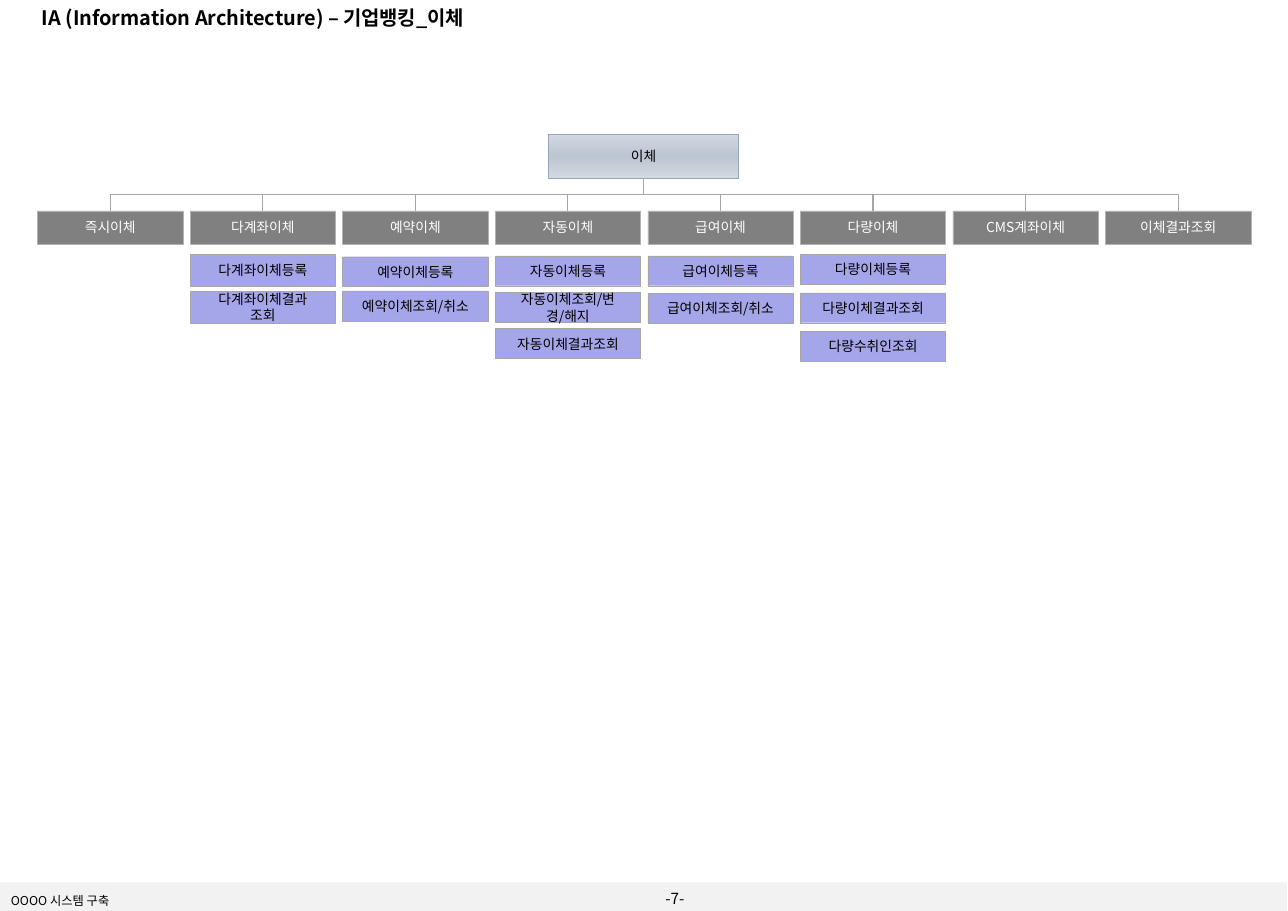
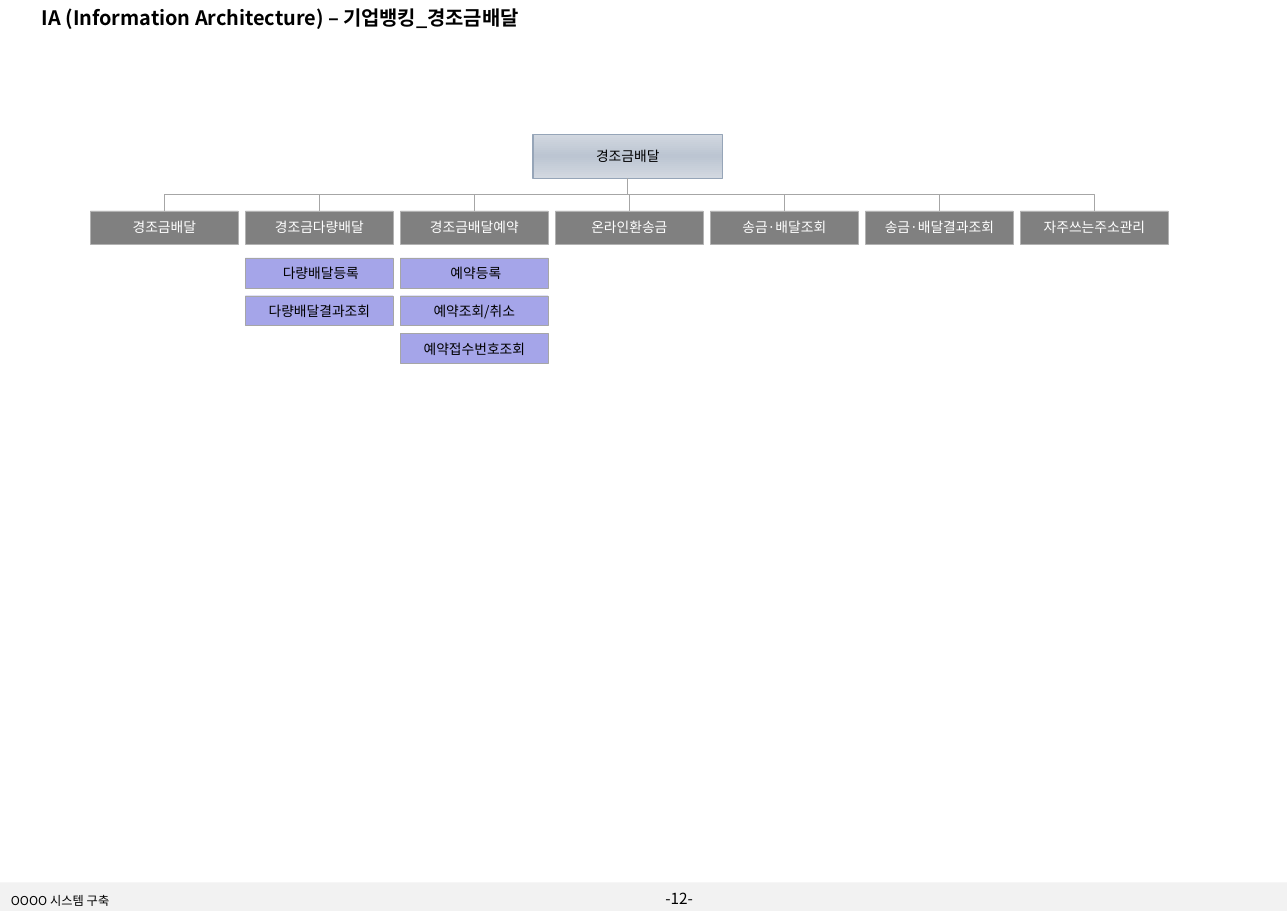
from copy import deepcopy

from lxml.etree import SubElement
from pptx import Presentation
from pptx.dml.color import RGBColor
from pptx.enum.shapes import MSO_CONNECTOR, MSO_SHAPE
from pptx.enum.text import MSO_ANCHOR, MSO_AUTO_SIZE, PP_ALIGN
from pptx.oxml.ns import qn
from pptx.util import Pt

FONT = "Noto Sans CJK KR"
WIDTH, HEIGHT = 841.68, 595.44
TITLE_ONLY = 5
ROOT_TOP, ROOT_WIDTH, ROOT_HEIGHT = 87.8, 123.8, 28.8
HEADING_TOP, HEADING_HEIGHT = 137.9, 21.6

MENUS = [
    {
        "title": "IA (Information Architecture) – 기업뱅킹_이체",
        "number": 7, "root": "이체", "root_left": 358.6,
        "left": 24.5, "pitch": 99.7, "width": 95,
        "columns": [
            ("즉시이체", []),
            ("다계좌이체", ["다계좌이체등록", "다계좌이체결과\n조회"], 166.3, 23.9, 20.9),
            ("예약이체", ["예약이체등록", "예약이체조회/취소"], 167.8, 22.3, 19.6),
            ("자동이체", ["자동이체등록", "자동이체조회/변경/해지", "자동이체결과조회"],
             167.2, 23.8, 19.6),
            ("급여이체", ["급여이체등록", "급여이체조회/취소"], 167.2, 24.4, 19.6),
            ("다량이체", ["다량이체등록", "다량이체결과조회", "다량수취인조회"],
             166.3, 25.1, 19.6),
            ("CMS계좌이체", []),
            ("이체결과조회", []),
        ],
    },
    {
        "title": "IA (Information Architecture) – 기업뱅킹_경조금배달",
        "number": 12, "root": "경조금배달", "root_left": 348.3,
        "left": 59.1, "pitch": 101.3, "width": 96.5,
        "columns": [
            ("경조금배달", []),
            ("경조금다량배달", [" 다량배달등록", "다량배달결과조회"], 168.6, 24.7, 19.6),
            ("경조금배달예약", [" 예약등록", "예약조회/취소", "예약접수번호조회"],
             168.6, 24.7, 19.6),
            ("온라인환송금", []),
            ("송금·배달조회", []),
            ("송금·배달결과조회", []),
            ("자주쓰는주소관리", []),
        ],
    },
]


def color(code):
    """Turn a hex string into a colour."""
    return RGBColor.from_string(code)


def apply(target, values):
    """Set every attribute named in a dict of format values."""
    for name, value in values.items():
        setattr(target, name, value)


class MenuDeck:
    """Hold the shared style and the slide being built."""

    def __init__(self):
        """Start an empty deck."""
        self.deck = Presentation()
        apply(self.deck, {"slide_width": Pt(WIDTH), "slide_height": Pt(HEIGHT)})
        self.page = None

    def fill_text(self, shape, text, size, ink="000000", bold=False,
                  align=PP_ALIGN.LEFT, margins=(7.9, 3.6), wrap=True):
        """Put formatted text in a shape."""
        side, edge = map(Pt, margins)
        frame = shape.text_frame
        apply(frame, {
            "auto_size": MSO_AUTO_SIZE.NONE, "word_wrap": wrap,
            "vertical_anchor": MSO_ANCHOR.MIDDLE,
            "margin_left": side, "margin_right": side,
            "margin_top": edge, "margin_bottom": edge,
        })
        para = frame.paragraphs[0]
        para.text = text
        para.alignment = align
        for span in para.runs:
            apply(span.font, {"size": Pt(size), "bold": bold, "name": FONT})
            span.font.color.rgb = color(ink)
            properties = span._r.get_or_add_rPr()
            SubElement(properties, qn("a:ea")).set("typeface", FONT)
        for line_break in para._p.findall(qn("a:br")):
            line_break.append(deepcopy(properties))

    def title(self, text):
        """Place the slide title."""
        title = self.page.shapes.title
        apply(title, {"left": Pt(19.4), "top": Pt(-0.7),
                      "width": Pt(481.7), "height": Pt(23.8)})
        self.fill_text(title, text, 13, bold=True)

    def label(self, text, left, top, width, height, size, side):
        """Add one unwrapped line of text."""
        box = self.page.shapes.add_textbox(Pt(left), Pt(top), Pt(width), Pt(height))
        self.fill_text(box, text, size, margins=(side, 3.6), wrap=False)

    def box(self, left, top, width, height, fill, line=None, weight=0.25):
        """Add a rectangle, with a gradient when fill is a list of colours."""
        box = self.page.shapes.add_shape(
            MSO_SHAPE.RECTANGLE, Pt(left), Pt(top), Pt(width), Pt(height))
        box.shadow.inherit = False
        if isinstance(fill, list):
            box.fill.gradient()
            box.fill.gradient_angle = 270
            stops = next(box._element.iter(qn("a:gsLst")))
            while len(stops) < len(fill):
                stops.append(deepcopy(stops[-1]))
            for index, stop in enumerate(box.fill.gradient_stops):
                stop.position = index / (len(fill) - 1)
                stop.color.rgb = color(fill[index])
        else:
            box.fill.solid()
            box.fill.fore_color.rgb = color(fill)
        if line:
            box.line.color.rgb = color(line)
            box.line.width = Pt(weight)
        else:
            box.line.fill.background()
        return box

    def root(self, text, left):
        """Add the top box of the tree."""
        box = self.box(left, ROOT_TOP, ROOT_WIDTH, ROOT_HEIGHT,
                       ["D2D8E0", "BCC5D2", "D2D8E0"], "96A5B8", 0.75)
        self.fill_text(box, text, 9, align=PP_ALIGN.CENTER, margins=(2.9, 2.9))
        return box

    def heading(self, text, left, width):
        """Add a grey column heading."""
        box = self.box(left, HEADING_TOP, width, HEADING_HEIGHT, "808080", "B2B2B2")
        self.fill_text(box, text, 9, "FFFFFF", align=PP_ALIGN.CENTER,
                       margins=(0, 0), wrap=False)
        return box

    def item(self, text, left, top, width, height):
        """Add a violet menu item."""
        box = self.box(left, top, width, height, "A5A5E9", "A6A6A6")
        self.fill_text(box, text, 9, align=PP_ALIGN.CENTER)

    def branch(self, parent, child):
        """Join a parent's bottom to a child's top with an upright elbow."""
        start = parent.left + parent.width // 2
        end = child.left + child.width // 2
        bottom = parent.top + parent.height
        drop, span = child.top - bottom, abs(end - start)
        elbow = self.page.shapes.add_connector(
            MSO_CONNECTOR.ELBOW, start, bottom, end, child.top)
        elbow.begin_connect(parent, 2)
        elbow.end_connect(child, 0)
        apply(elbow, {"left": (start + end - drop) // 2,
                      "top": (bottom + child.top - span) // 2,
                      "width": drop, "height": span})
        rightward = end > start
        frame = elbow._element.spPr.find(qn("a:xfrm"))
        frame.set("rot", "16200000" if rightward else "5400000")
        frame.set("flipH", "1" if rightward else "0")
        elbow.line.color.rgb = color("A6A6A6")
        elbow.line.width = Pt(0.75)
        SubElement(elbow._element.spPr, qn("a:effectLst"))

    def footer(self, number):
        """Add the footer band, page number and project name."""
        self.box(-0.7, 576.7, WIDTH, 18.7, "F2F2F2")
        self.label(f"-{number}-", 427, 578.9, 36, 16.6, 10, 7.9)
        self.label("OOOO 시스템 구축", 0, 581, 351.4, 15.1, 8, 7.2)

    def column(self, root, left, width, name, items, top=0, step=0, height=0):
        """Add a heading, its branch and its menu items."""
        self.branch(root, self.heading(name, left, width))
        for row, text in enumerate(items):
            self.item(text, left, top + row * step, width, height)

    def menu(self, menu):
        """Build one slide from its menu tree."""
        self.page = self.deck.slides.add_slide(self.deck.slide_layouts[TITLE_ONLY])
        self.footer(menu["number"])
        self.title(menu["title"])
        root = self.root(menu["root"], menu["root_left"])
        for index, column in enumerate(menu["columns"]):
            left = menu["left"] + index * menu["pitch"]
            self.column(root, left, menu["width"], *column)


def main():
    """Build and save the deck."""
    builder = MenuDeck()
    for menu in MENUS:
        builder.menu(menu)
    builder.deck.save("out.pptx")


if __name__ == "__main__":
    main()
